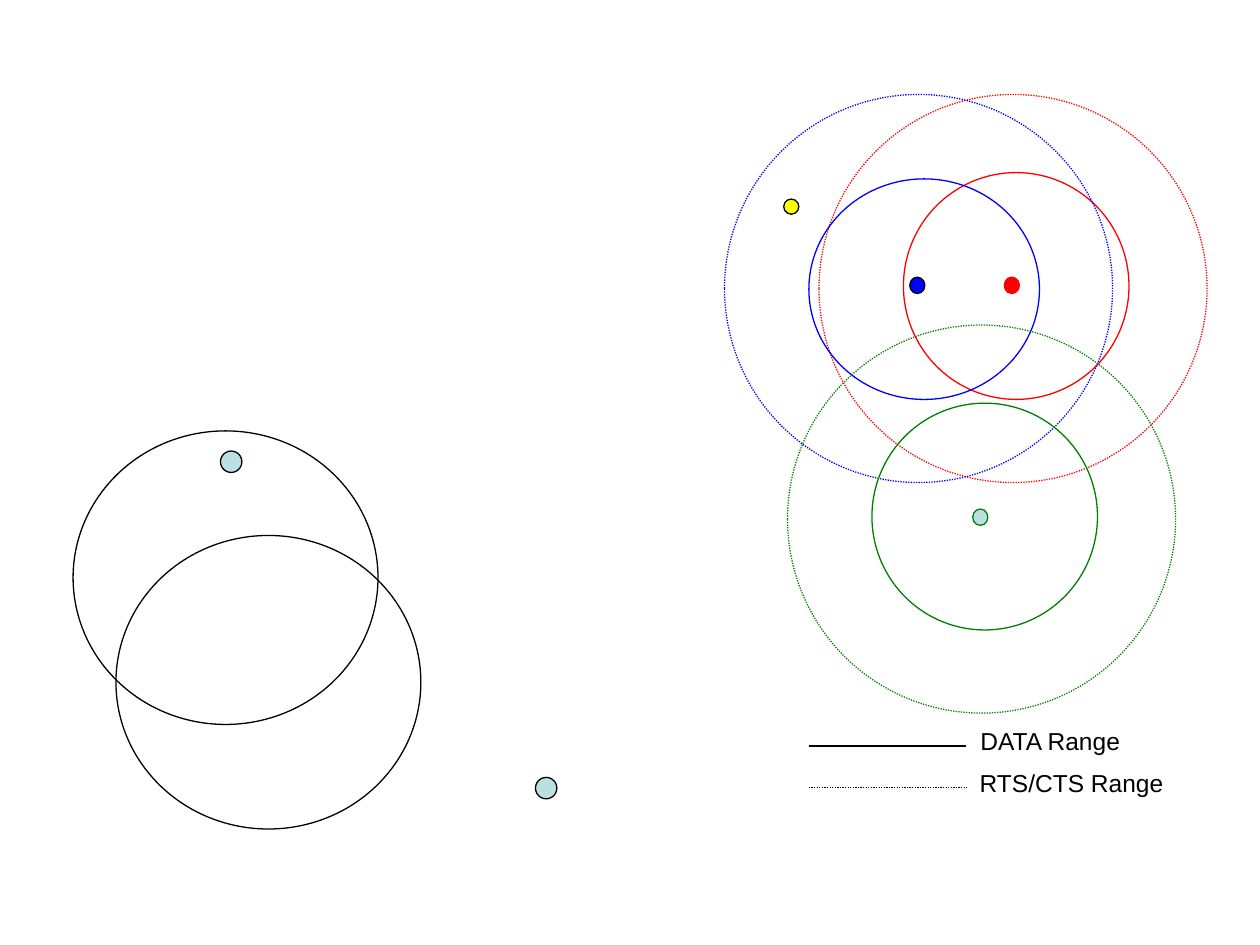
"""Build a slide comparing DATA and RTS/CTS radio ranges."""
from typing import NamedTuple, Optional

from lxml.etree import SubElement
from pptx import Presentation
from pptx.dml.color import RGBColor
from pptx.enum.dml import MSO_LINE
from pptx.enum.shapes import MSO_CONNECTOR, MSO_SHAPE
from pptx.enum.text import MSO_ANCHOR, PP_ALIGN
from pptx.oxml.ns import qn
from pptx.util import Inches, Pt

COLORS = {
    "black": "000000", "white": "FFFFFF", "red": "FF0000", "blue": "0000FF",
    "green": "008000", "yellow": "FFFF00", "pale": "BBE0E3",
}
LINE_WIDTH = Pt(0.74)
RTS_SIZE = 3.08


class Circle(NamedTuple):
    left: float
    top: float
    width: float
    height: float
    line: str
    fill: Optional[str] = None
    dotted: bool = False


class LegendEntry(NamedTuple):
    label: str
    line_top: float
    text_left: float
    text_top: float
    dotted: bool


def rts_range(left: float, top: float, color: str) -> Circle:
    return Circle(left, top, RTS_SIZE, RTS_SIZE, color, dotted=True)


CIRCLES = [
    Circle(7.17, 1.37, 1.79, 1.8, "red", "white"),
    Circle(7.97, 2.2, 0.12, 0.13, "red", "red"),
    rts_range(6.5, 0.75, "red"),
    Circle(0.58, 3.42, 2.42, 2.33, "black"),
    Circle(6.22, 1.58, 0.12, 0.12, "black", "yellow"),
    Circle(1.75, 3.58, 0.17, 0.17, "black", "pale"),
    Circle(0.92, 4.25, 2.42, 2.33, "black"),
    Circle(4.25, 6.17, 0.17, 0.17, "black", "pale"),
    Circle(7.22, 2.2, 0.12, 0.13, "black", "blue"),
    rts_range(5.75, 0.75, "blue"),
    Circle(6.42, 1.42, 1.83, 1.75, "blue"),
    Circle(6.92, 3.2, 1.79, 1.8, "green"),
    Circle(7.72, 4.04, 0.12, 0.13, "green", "pale"),
    rts_range(6.25, 2.58, "green"),
]
LEGEND = [
    LegendEntry("DATA Range", 5.92, 7.5, 5.67, False),
    LegendEntry("RTS/CTS Range", 6.25, 7.67, 6, True),
]


def rgb(name: str) -> RGBColor:
    return RGBColor.from_string(COLORS[name])


def apply_format(target, values: dict) -> None:
    for name, value in values.items():
        setattr(target, name, value)


def style_line(line, color: str, dotted: bool) -> None:
    line.color.rgb = rgb(color)
    dash = MSO_LINE.ROUND_DOT if dotted else MSO_LINE.SOLID
    apply_format(line, {"width": LINE_WIDTH, "dash_style": dash})


def draw_circle(page, circle: Circle) -> None:
    shape = page.shapes.add_shape(MSO_SHAPE.OVAL, *map(Inches, circle[:4]))
    shape.shadow.inherit = False
    if circle.fill:
        shape.fill.solid()
        shape.fill.fore_color.rgb = rgb(circle.fill)
    else:
        shape.fill.background()
    style_line(shape.line, circle.line, circle.dotted)


def draw_legend(page, entry: LegendEntry) -> None:
    ends = (6.42, entry.line_top, 7.67, entry.line_top)
    sample = page.shapes.add_connector(MSO_CONNECTOR.STRAIGHT, *map(Inches, ends))
    style_line(sample.line, "black", entry.dotted)
    SubElement(sample.element.spPr, qn("a:effectLst"))

    area = (entry.text_left, entry.text_top, 1.67, 0.42)
    box = page.shapes.add_textbox(*map(Inches, area))
    apply_format(box.text_frame, {"word_wrap": True, "vertical_anchor": MSO_ANCHOR.MIDDLE})
    para = box.text_frame.paragraphs[0]
    para.alignment = PP_ALIGN.CENTER
    span = para.add_run()
    span.text = entry.label
    apply_format(span.font, {"name": "Arial", "size": Pt(14)})
    span.font.color.rgb = rgb("black")


def main() -> None:
    deck = Presentation()
    apply_format(deck, {"slide_width": Inches(10), "slide_height": Inches(7.5)})
    page = deck.slides.add_slide(deck.slide_layouts[6])
    for circle in CIRCLES:
        draw_circle(page, circle)
    for entry in LEGEND:
        draw_legend(page, entry)
    deck.save("out.pptx")


main()
